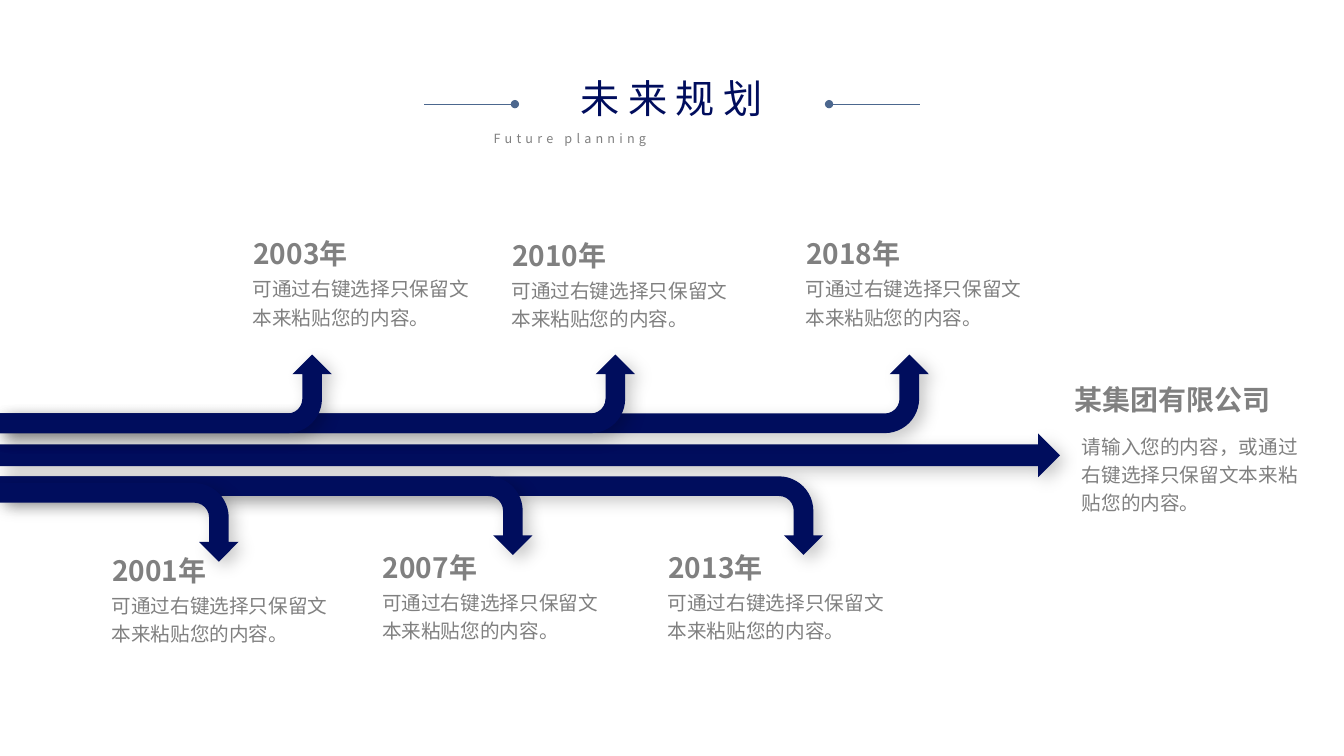
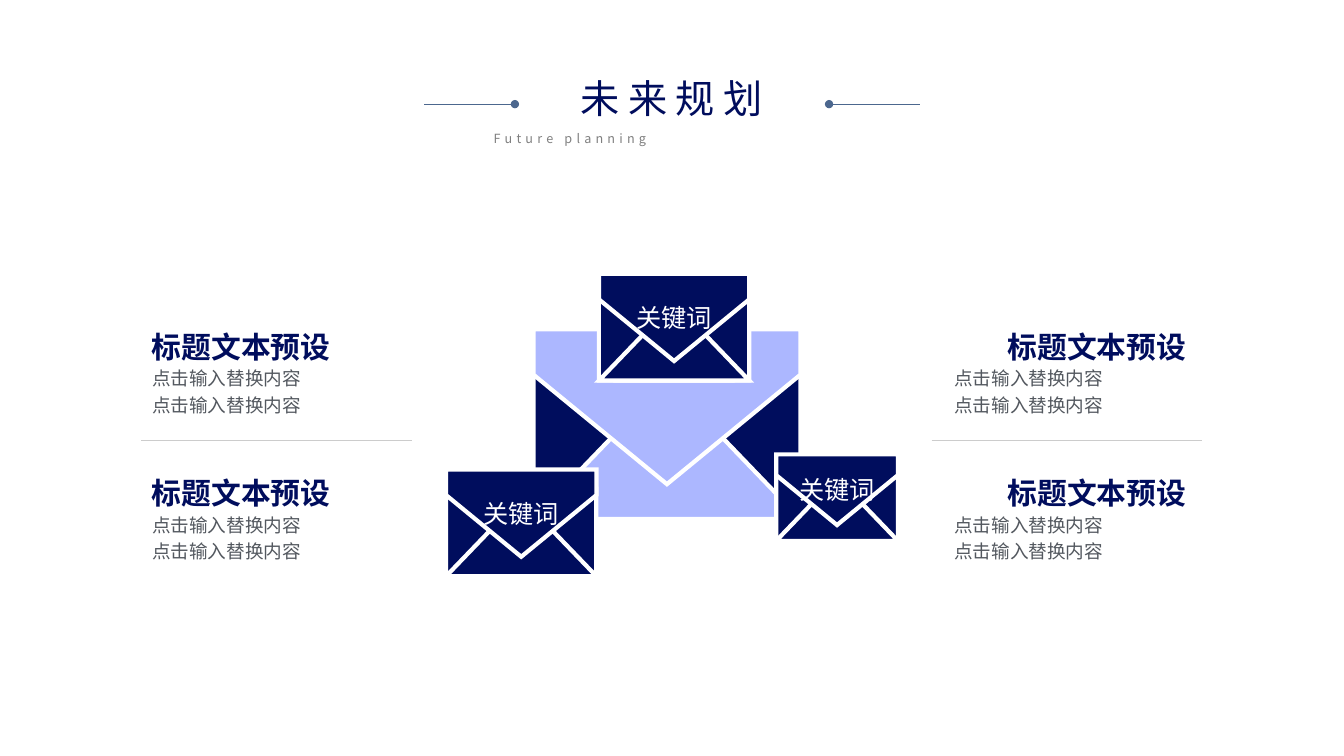
"""Build two planning slides: a branching timeline and a group of envelopes."""
from lxml.etree import SubElement
from pptx import Presentation
from pptx.dml.color import RGBColor
from pptx.enum.shapes import MSO_CONNECTOR as LINE, MSO_SHAPE as SHAPE
from pptx.enum.text import MSO_ANCHOR as ANCHOR, MSO_AUTO_SIZE as AUTO_SIZE, PP_ALIGN as ALIGN
from pptx.oxml.ns import qn
from pptx.util import Pt

NAVY = RGBColor(0x00, 0x0D, 0x5D)
LILAC = RGBColor(0xAC, 0xB7, 0xFF)
STEEL = RGBColor(0x4C, 0x67, 0x8E)
GRAY = RGBColor(0x80, 0x80, 0x80)
SLATE = RGBColor(0x53, 0x58, 0x5F)
SILVER = RGBColor(0xCC, 0xCC, 0xCC)
WHITE = RGBColor(0xFF, 0xFF, 0xFF)
FONT = "Noto Sans CJK SC"
COLUMNS, ROWS = 160, 90
CELL = Pt(6)


def grid(*cells):
    """Turn counts of square grid cells into lengths."""
    return [round(cell * CELL) for cell in cells]


def write(box, text, size, color, bold=False, align=ALIGN.LEFT, leading=None,
          tracking=None, anchor=ANCHOR.TOP, insets=(1.2, 0.6), wrap=True):
    """Fill a box with formatted text, one paragraph for each line."""
    frame = box.text_frame
    frame.word_wrap = wrap
    frame.auto_size = AUTO_SIZE.NONE
    frame.vertical_anchor = anchor
    frame.margin_left = frame.margin_right = grid(insets[0])[0]
    frame.margin_top = frame.margin_bottom = grid(insets[1])[0]
    frame.text = text
    for para in frame.paragraphs:
        para.alignment = align
        if leading:
            para.line_spacing = leading
        for span in para.runs:
            font = span.font
            font.name, font.size, font.bold = FONT, Pt(size), bold
            font.color.rgb = color
            properties = span._r.get_or_add_rPr()
            SubElement(properties, qn("a:ea"), typeface=FONT)
            if tracking:
                properties.set("spc", str(tracking * 100))


deck = Presentation()
deck.slide_width, deck.slide_height = grid(COLUMNS, ROWS)
pages = [deck.slides.add_slide(deck.slide_layouts[5]) for _ in range(2)]
timeline, mail = pages
middle = COLUMNS / 2
rules = []

for page in pages:
    title = page.shapes.title
    title.left, title.top, title.width, title.height = grid(61.9, 8.2, 36.1, 6.8)
    write(title, "未来规划", 28, NAVY, align=ALIGN.CENTER, tracking=6)
    subtitle = page.shapes.add_textbox(*grid(57.6, 15, 44.9, 3))
    write(subtitle, "Future planning", 9, GRAY, align=ALIGN.JUSTIFY, tracking=3)
    for side in (-1, 1):
        rules.append((page, middle + side * 29.5, middle + side * 18.7, 12.4, STEEL, True))

for start in (16.8, 110.9):
    rules.append((mail, start, start + 32.2, 52.4, SILVER, False))

for page, start, end, row, color, dotted in rules:
    rule = page.shapes.add_connector(LINE.STRAIGHT, *grid(start, row, end, row))
    rule.line.color.rgb = color
    rule.line.width = Pt(0.5)
    SubElement(rule._element.spPr, qn("a:effectLst"))
    if dotted:
        SubElement(rule.line._get_or_add_ln(), qn("a:tailEnd"), type="oval")

arrows = [timeline.shapes.add_shape(SHAPE.RIGHT_ARROW, *grid(0, 51.6, 126.2, 5.2))]
depth = 9.36
branches = [
    (110.6, 42.2, True), (98, 56.7, False), (75.6, 42.2, True),
    (39.5, 42.2, True), (63.4, 56.7, False), (28.4, 57.5, False),
]
for reach, top, upward in branches:
    arrow = timeline.shapes.add_shape(SHAPE.BENT_ARROW, *grid(
        (reach - depth) / 2, top + (depth - reach) / 2, depth, reach))
    arrow.rotation = 90 if upward else 270
    frame = arrow._element.spPr.get_or_add_xfrm()
    frame.set("flipH", "1")
    if not upward:
        frame.set("flipV", "1")
    arrows.append(arrow)

for arrow in arrows:
    arrow.shadow.inherit = False
    arrow.fill.solid()
    arrow.fill.fore_color.rgb = NAVY
    arrow.line.fill.background()
    effects = arrow._element.spPr.find(qn("a:effectLst"))
    shadow = SubElement(effects, qn("a:outerShdw"), blurRad=str(Pt(12)), dist=str(Pt(5)),
                        dir=str(45 * 60000), algn="tl", rotWithShape="0")
    tint = SubElement(shadow, qn("a:srgbClr"), val="000000")
    SubElement(tint, qn("a:alpha"), val="21000")

company = timeline.shapes.add_textbox(*grid(122.5, 45, 34.2, 5.3))
write(company, "某集团有限公司", 20, GRAY, bold=True, align=ALIGN.CENTER)
summary = timeline.shapes.add_textbox(*grid(127.6, 50.6, 29.2, 14.8))
write(summary, "请输入您的内容，或通过右键选择只保留文本来粘贴您的内容。", 14, GRAY, leading=1.2)

milestones = [
    ("2001年", 12.2, 65.3), ("2003年", 29, 27.6), ("2007年", 44.4, 64.9),
    ("2010年", 59.8, 27.8), ("2013年", 78.4, 64.9), ("2018年", 94.8, 27.6),
]
for year, left, top in milestones:
    heading = timeline.shapes.add_textbox(*grid(left, top, 17, 5.3))
    write(heading, year, 20, GRAY, bold=True)
    detail = timeline.shapes.add_textbox(*grid(left - 0.1, top + 4.25, 29.2, 11.4))
    write(detail, "可通过右键选择只保留文本来粘贴您的内容。", 14, GRAY, leading=1.2)

envelopes = [
    (63.5, 39.2, 31.8, LILAC, None), (53.1, 55.9, 17.9, NAVY, "关键词"),
    (92.4, 54.1, 14.5, NAVY, "关键词"), (71.3, 32.6, 17.9, NAVY, "关键词"),
]
for left, top, width, color, keyword in envelopes:
    fold = 0.86 * width
    sides = [
        mail.shapes.add_shape(SHAPE.RIGHT_TRIANGLE, *grid(
            start, top + 0.14 * width, fold, 0.57 * width))
        for start in (left, left + width - fold)
    ]
    sides[1]._element.spPr.get_or_add_xfrm().set("flipH", "1")
    pocket = mail.shapes.add_shape(SHAPE.ISOSCELES_TRIANGLE, *grid(
        left, top + 0.19 * width, width, 0.52 * width))
    right, shoulder = left + width, top + 0.17 * width
    outline = mail.shapes.build_freeform(*grid(left, top))
    outline.add_line_segments([
        grid(right, top), grid(right, shoulder),
        grid(left + width / 2, top + 0.58 * width), grid(left, shoulder),
    ])
    flap = outline.convert_to_shape()
    for part, fill in zip([*sides, pocket, flap], [NAVY, NAVY, color, color]):
        part.shadow.inherit = False
        part.fill.solid()
        part.fill.fore_color.rgb = fill
        part.line.color.rgb = WHITE
        part.line.width = Pt(3)
        SubElement(part.line._get_or_add_ln(), qn("a:miter"), lim="800000")
    if keyword:
        write(flap, keyword, 18, WHITE, align=ALIGN.CENTER, anchor=ANCHOR.MIDDLE,
              insets=(1.6, 0.8), wrap=False)

for heading_left, detail_left, align in [(18.1, 18.1, ALIGN.LEFT), (106.9, 113.6, ALIGN.RIGHT)]:
    for top in (39.1, 56.5):
        detail = mail.shapes.add_textbox(*grid(detail_left, top + 4.1, 27.5, 6.7))
        write(detail, "点击输入替换内容\n点击输入替换内容", 13.3, SLATE, leading=1.2, insets=(0, 0))
        heading = mail.shapes.add_textbox(*grid(heading_left, top, 34.3, 4.1))
        write(heading, "标题文本预设", 21.3, NAVY, bold=True, align=align, insets=(0, 0))

deck.save("out.pptx")
